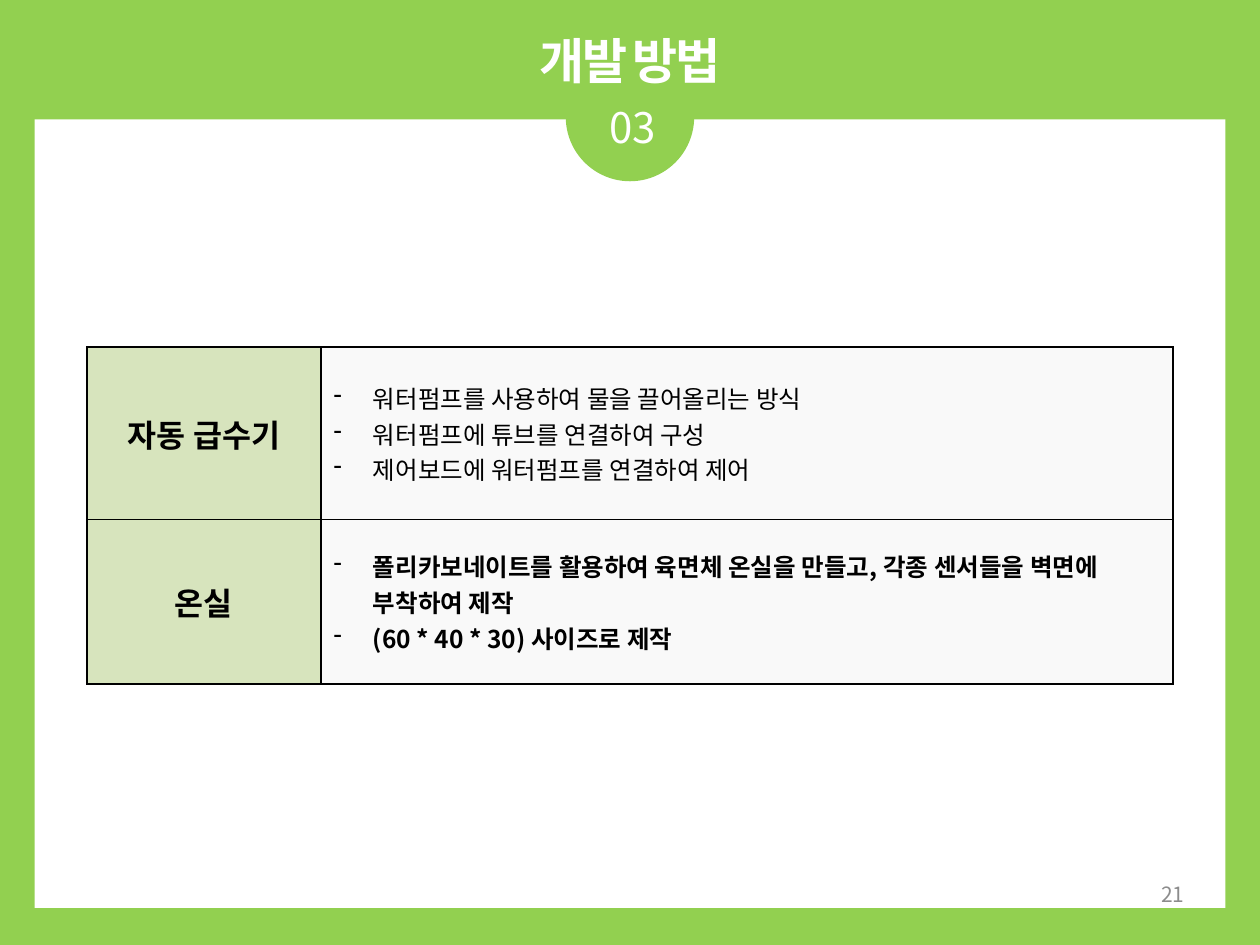
from lxml.etree import SubElement
from pptx import Presentation
from pptx.dml.color import RGBColor
from pptx.enum.shapes import MSO_SHAPE
from pptx.enum.text import MSO_ANCHOR, PP_ALIGN
from pptx.oxml.ns import qn
from pptx.util import Pt

GREEN, PALE_GREEN, PALE_GREY = "92D050", "D7E4BD", "F9F9F9"
WHITE, BLACK, GREY = "FFFFFF", "000000", "8C8C8C"
KOREAN = "Noto Sans CJK KR"
BULLET_INDENT = 22.5
METHODS = [
    ("자동 급수기", False, [
        "워터펌프를 사용하여 물을 끌어올리는 방식",
        "워터펌프에 튜브를 연결하여 구성",
        "제어보드에 워터펌프를 연결하여 제어",
    ]),
    ("온실", True, [
        "폴리카보네이트를 활용하여 육면체 온실을 만들고, 각종 센서들을 벽면에 부착하여 제작",
        "(60 * 40 * 30) 사이즈로 제작",
    ]),
]


def paint(fill, color):
    fill.solid()
    fill.fore_color.rgb = RGBColor.from_string(color)


def style_paragraph(para, size, color, bold=False, align=PP_ALIGN.LEFT, name=KOREAN, spacing=0):
    para.alignment = align
    font = para.font
    font.size, font.bold = Pt(size), bold
    font.color.rgb = RGBColor.from_string(color)
    font.name = name
    properties = para._p.pPr.find(qn("a:defRPr"))
    SubElement(properties, qn("a:ea"), typeface=KOREAN)
    if spacing:
        properties.set("spc", str(int(spacing * 100)))


def add_dash(para):
    properties = para._p.get_or_add_pPr()
    properties.set("marL", str(Pt(BULLET_INDENT)))
    properties.set("indent", str(-Pt(BULLET_INDENT)))
    SubElement(properties, qn("a:buChar"), char="-")


def add_plain_shape(page, kind, box, color):
    shape = page.shapes.add_shape(kind, *map(Pt, box))
    shape.shadow.inherit = False
    paint(shape.fill, color)
    shape.line.fill.background()


def write_line(shape, text, **style):
    frame = shape.text_frame
    frame.word_wrap = True
    frame.vertical_anchor = MSO_ANCHOR.MIDDLE
    frame.text = text
    style_paragraph(frame.paragraphs[0], **style)


def add_label(page, box, text, **style):
    write_line(page.shapes.add_textbox(*map(Pt, box)), text, **style)


def place_title(page, box, text):
    title = page.shapes.title
    title.left, title.top, title.width, title.height = map(Pt, box)
    write_line(title, text, size=28, color=WHITE, bold=True,
               align=PP_ALIGN.CENTER, spacing=-1.5)
    page.shapes._spTree.append(title._element)


def add_header(page, box, title, number):
    left, top, width, height = box
    diameter = 73.4
    middle = left + width / 2
    badge = (middle - diameter / 2, top + 16.5, diameter, diameter)
    add_plain_shape(page, MSO_SHAPE.OVAL, badge, GREEN)
    add_label(page, (middle - 36.7, top + 40.5, 76.3, 36), number,
              size=24, color=WHITE, align=PP_ALIGN.CENTER)
    place_title(page, box, title)


def fill_cell(cell, lines, background, bulleted=False, **style):
    paint(cell.fill, background)
    cell.vertical_anchor = MSO_ANCHOR.MIDDLE
    frame = cell.text_frame
    frame.text = "\n".join(lines)
    for para in frame.paragraphs:
        if bulleted:
            add_dash(para)
        style_paragraph(para, color=BLACK, **style)


def add_borders(cell):
    properties = cell._tc.get_or_add_tcPr()
    for index, side in enumerate(("lnL", "lnR", "lnT", "lnB")):
        line = SubElement(properties, qn(f"a:{side}"), w=str(Pt(1)))
        fill = SubElement(line, qn("a:solidFill"))
        SubElement(fill, qn("a:srgbClr"), val=BLACK)
        properties.insert(index, line)


def add_method_table(page, box, label_width, row_heights):
    table = page.shapes.add_table(len(METHODS), 2, *map(Pt, box)).table
    table.first_row = table.horz_banding = False
    table.columns[0].width = Pt(label_width)
    table.columns[1].width = Pt(box[2] - label_width)
    for row, height, (label, bold, steps) in zip(table.rows, row_heights, METHODS):
        row.height = Pt(height)
        label_cell, steps_cell = row.cells
        fill_cell(label_cell, [label], PALE_GREEN, size=18, bold=True,
                  align=PP_ALIGN.CENTER, name="Arial")
        fill_cell(steps_cell, steps, PALE_GREY, bulleted=True, size=14, bold=bold)
        for cell in row.cells:
            add_borders(cell)


def main():
    deck = Presentation()
    deck.slide_width, deck.slide_height = Pt(720), Pt(540)
    page = deck.slides.add_slide(deck.slide_layouts[5])
    paint(page.background.fill, GREEN)
    add_plain_shape(page, MSO_SHAPE.RECTANGLE, (19.8, 68.2, 680.4, 450.7), WHITE)
    add_header(page, (19.8, 13.7, 680.4, 41), "개발 방법", "03")
    add_label(page, (516, 496.3, 168, 28.8), "21",
              size=12, color=GREY, align=PP_ALIGN.RIGHT)
    add_method_table(page, (49.7, 198.2, 620.6, 192.6), 133.7, (98.8, 93.8))
    deck.save("out.pptx")


if __name__ == "__main__":
    main()
